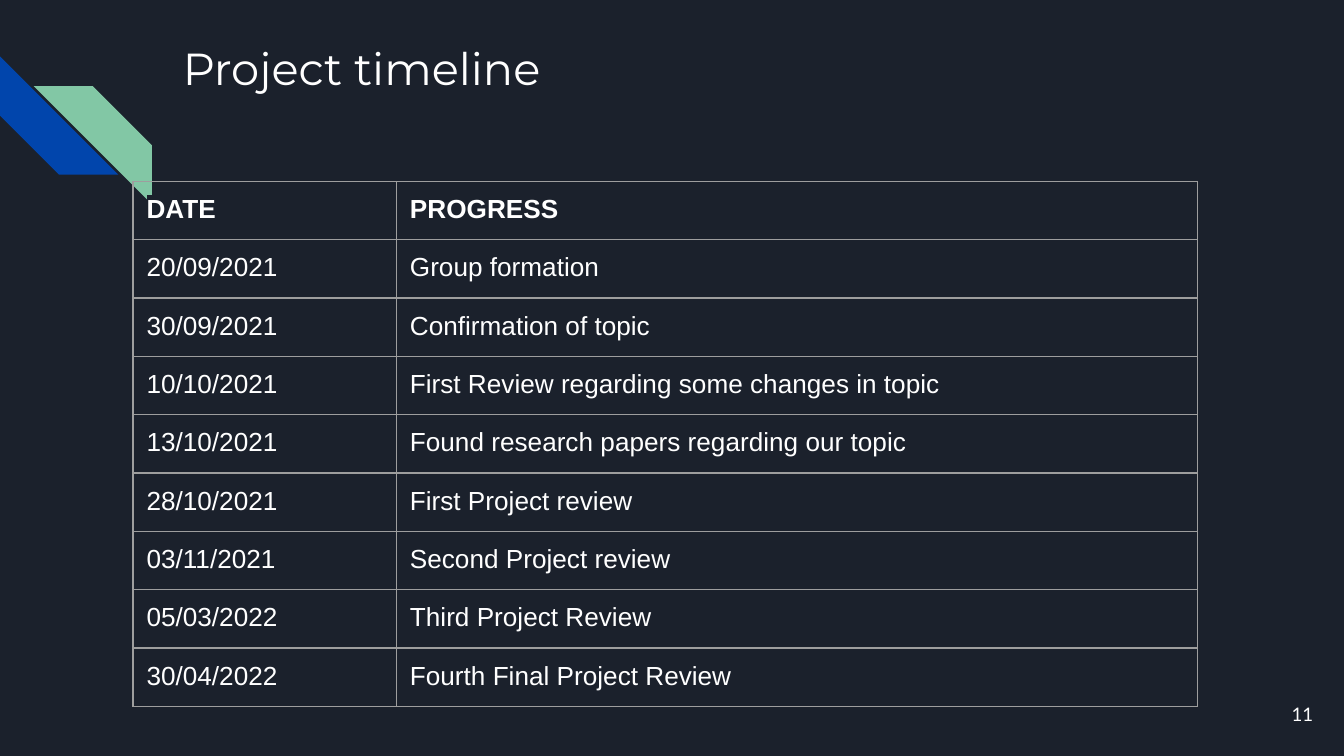
from lxml.etree import SubElement
from pptx import Presentation
from pptx.dml.color import RGBColor
from pptx.enum.shapes import MSO_SHAPE
from pptx.enum.text import MSO_ANCHOR, PP_ALIGN
from pptx.oxml import parse_xml
from pptx.oxml.ns import nsdecls, qn
from pptx.util import Inches, Pt

COLORS = {
    "background": "1B212C",
    "blue": "0145AC",
    "green": "82C7A5",
    "text": "FFFFFF",
    "border": "9E9E9E",
}
MARGINS = ("margin_left", "margin_top", "margin_right", "margin_bottom")


def write_text(frame, text, font_name, size, bold=False, align=PP_ALIGN.LEFT):
    frame.word_wrap = True
    paragraph = frame.paragraphs[0]
    paragraph.alignment = align
    run = paragraph.add_run()
    run.text = text
    font_format = {"name": font_name, "size": Pt(size), "bold": bold}
    for attribute, value in font_format.items():
        setattr(run.font, attribute, value)
    run.font.color.rgb = RGBColor.from_string(COLORS["text"])
    return run


def set_margins(target):
    for margin in MARGINS:
        setattr(target, margin, Inches(0.1))


# Widescreen slide, 16:9
presentation = Presentation()
presentation.slide_width = Inches(10)
presentation.slide_height = Inches(10 * 9 / 16)
slide = presentation.slides.add_slide(presentation.slide_layouts[5])
slide.background.fill.solid()
slide.background.fill.fore_color.rgb = RGBColor.from_string(COLORS["background"])

# Corner stripes
stripes = [
    # left, top, rotation, mirrored, color
    (0, 0.42, 270, False, "blue"),
    (0.25, 0.64, 0, True, "green"),
]
for left, top, rotation, mirrored, color in stripes:
    stripe = slide.shapes.add_shape(
        MSO_SHAPE.DIAGONAL_STRIPE, Inches(left), Inches(top), Inches(0.88), Inches(0.88)
    )
    stripe.adjustments[0] = 0.5
    stripe.rotation = rotation
    stripe.shadow.inherit = False
    stripe.fill.solid()
    stripe.fill.fore_color.rgb = RGBColor.from_string(COLORS[color])
    stripe.line.fill.background()
    if mirrored:
        stripe._element.spPr.find(qn("a:xfrm")).set("flipH", "1")

# Title
title = slide.shapes.title
title_place = {"left": 1.26, "top": 0.2, "width": 7.7, "height": 1}
for attribute, value in title_place.items():
    setattr(title, attribute, Inches(value))
title.text_frame.vertical_anchor = MSO_ANCHOR.TOP
set_margins(title.text_frame)
write_text(title.text_frame, "Project timeline", "Montserrat", 24)

# Slide number
number_box = slide.shapes.add_textbox(Inches(9.27), Inches(5.1), Inches(0.6), Inches(0.43))
number_box.text_frame.vertical_anchor = MSO_ANCHOR.MIDDLE
set_margins(number_box.text_frame)
write_text(number_box.text_frame, "11", "Lato", 10, align=PP_ALIGN.RIGHT)

# Timeline table
timeline = [
    ("DATE", "PROGRESS"),
    ("20/09/2021", "Group formation"),
    ("30/09/2021", "Confirmation of topic"),
    ("10/10/2021", "First Review regarding some changes in topic"),
    ("13/10/2021", "Found research papers regarding our topic"),
    ("28/10/2021", "First Project review"),
    ("03/11/2021", "Second Project review"),
    ("05/03/2022", "Third Project Review"),
    ("30/04/2022", "Fourth Final Project Review"),
]
column_widths = [1.96, 5.96]
frame_size = Inches(3.28)
table_frame = slide.shapes.add_table(
    len(timeline), len(column_widths), Inches(0.99), Inches(1.35), frame_size, frame_size
)
table = table_frame.table
table.first_row = False
table.horz_banding = False
for column, width in zip(table.columns, column_widths):
    column.width = Inches(width)

for row_index, entries in enumerate(timeline):
    table.rows[row_index].height = Inches(0.42)
    is_header = row_index == 0
    for column_index, text in enumerate(entries):
        cell = table.cell(row_index, column_index)
        set_margins(cell)
        cell.fill.background()
        run = write_text(cell.text_frame, text, "Arial", 14, bold=is_header)

        # The header text is highlighted in the background color
        if is_header:
            highlight = parse_xml(f'<a:highlight {nsdecls("a")}/>')
            SubElement(highlight, qn("a:srgbClr"), val=COLORS["background"])
            run.font._element.find(qn("a:solidFill")).addnext(highlight)

        # Borders come before the fill in the cell properties
        cell_properties = cell._tc.get_or_add_tcPr()
        for position, side in enumerate(("lnL", "lnR", "lnT", "lnB")):
            border = parse_xml(
                f'<a:{side} {nsdecls("a")} w="{Pt(0.75)}"><a:solidFill>'
                f'<a:srgbClr val="{COLORS["border"]}"/></a:solidFill></a:{side}>'
            )
            cell_properties.insert(position, border)

# The frame keeps its own size, the rows and columns set the drawn one
table_frame.width = table_frame.height = frame_size

presentation.save("out.pptx")
